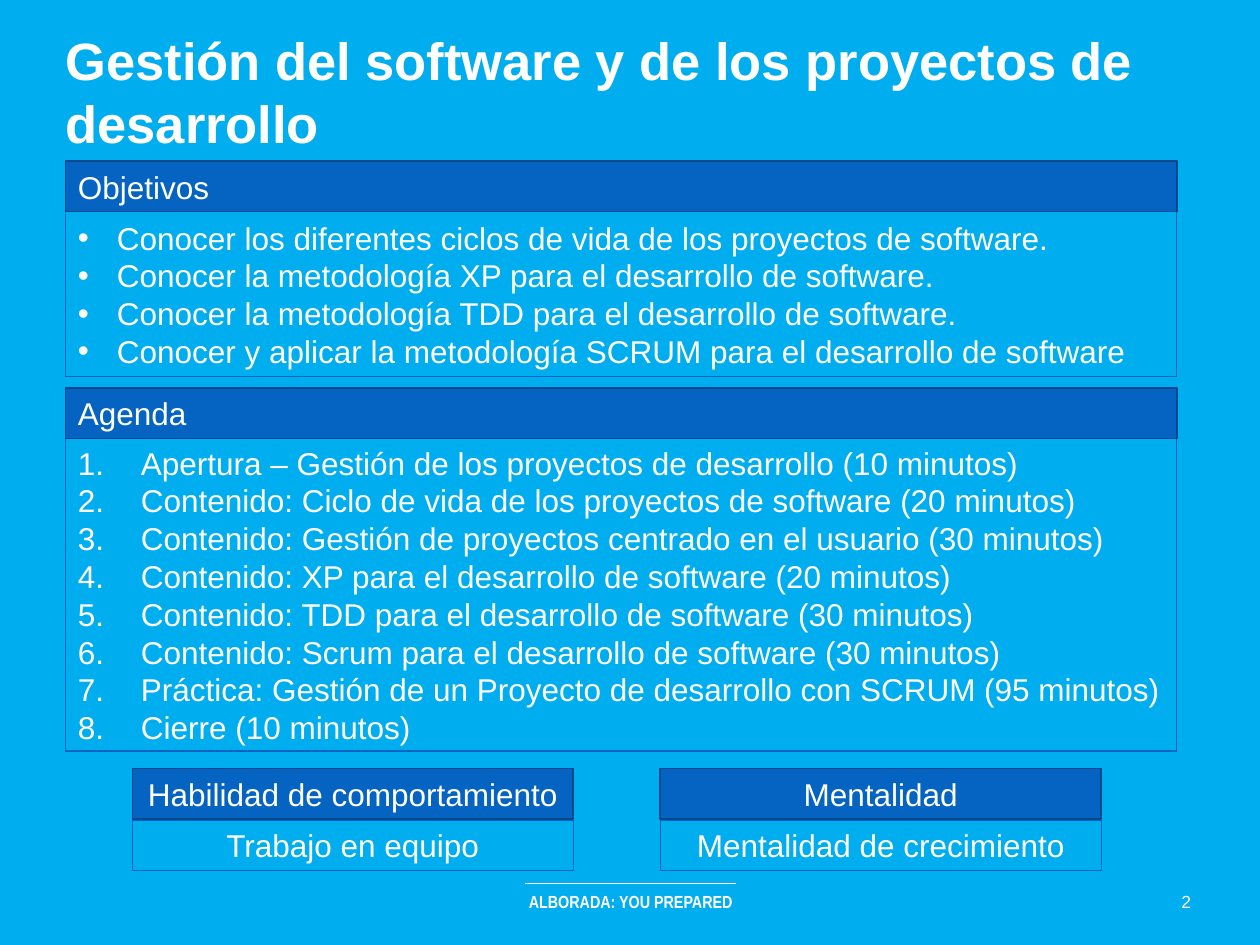
from lxml import etree
from pptx import Presentation
from pptx import util as u
from pptx.dml.color import RGBColor
from pptx.enum import shapes, text
from pptx.oxml.ns import qn

# Content
TITLE = "Gestión del software y de los proyectos de desarrollo"
FOOTER = "ALBORADA: YOU PREPARED"
PAGE = "2"
OBJECTIVES = [
    "Conocer los diferentes ciclos de vida de los proyectos de software.",
    "Conocer la metodología XP para el desarrollo de software.",
    "Conocer la metodología TDD para el desarrollo de software.",
    "Conocer y aplicar la metodología SCRUM para el desarrollo de software",
]
AGENDA = [
    "Apertura – Gestión de los proyectos de desarrollo (10 minutos)",
    "Contenido: Ciclo de vida de los proyectos de software (20 minutos)",
    "Contenido: Gestión de proyectos centrado en el usuario (30 minutos)",
    "Contenido: XP para el desarrollo de software (20 minutos)",
    "Contenido: TDD para el desarrollo de software (30 minutos)",
    "Contenido: Scrum para el desarrollo de software (30 minutos)",
    "Práctica: Gestión de un Proyecto de desarrollo con SCRUM (95 minutos)",
    "Cierre (10 minutos)",
]
BULLET = ("buChar", {"char": "•"}, 0.31)
NUMBER = ("buAutoNum", {"type": "arabicPeriod"}, 0.5)
# heading, items, marker, top, body height
PANELS = [
    ("Objetivos", OBJECTIVES, BULLET, 1.28, 1.31),
    ("Agenda", AGENDA, NUMBER, 3.08, 2.48),
]
CARDS = [
    ("Habilidad de comportamiento", "Trabajo en equipo"),
    ("Mentalidad", "Mentalidad de crecimiento"),
]
COLORS = {"sky": "00ADEF", "blue": "0563C1", "edge": "03488C", "white": "FFFFFF"}

# Layout, in inches
LEFT, WIDTH, BAR = 0.52, 8.82, 0.4
CARD_LEFT, CARD_TOP, CARD_WIDTH, CARD_STEP, CARD_ROW = 1.05, 6.1, 3.5, 4.19, 0.41
FOOT_TOP, FOOT_HEIGHT = 7.02, 0.27
CENTER = text.PP_ALIGN.CENTER


def color(name):
    return RGBColor.from_string(COLORS[name])


def inches(*values):
    return [u.Inches(v) for v in values]


def add_marker(paragraph, marker):
    tag, attributes, indent = marker
    props = paragraph._p.get_or_add_pPr()
    props.set("marL", str(u.Inches(indent)))
    props.set("indent", str(-u.Inches(indent)))
    bullet_color = etree.SubElement(props, qn("a:buClr"))
    etree.SubElement(bullet_color, qn("a:srgbClr"), val=COLORS["white"])
    etree.SubElement(props, qn("a:buFont"), typeface="Arial")
    etree.SubElement(props, qn("a:" + tag), attributes)


def write(shape, lines, size=18, font="Arial", bold=False,
          align=text.PP_ALIGN.LEFT, marker=None, side=0.1):
    frame = shape.text_frame
    frame.text = "\n".join(lines)
    frame.word_wrap = True
    frame.auto_size = text.MSO_AUTO_SIZE.NONE
    frame.vertical_anchor = text.MSO_ANCHOR.MIDDLE
    frame.margin_left = frame.margin_right = u.Inches(side)
    frame.margin_top = frame.margin_bottom = u.Inches(0.05)
    for paragraph in frame.paragraphs:
        paragraph.alignment = align
        if marker:
            add_marker(paragraph, marker)
        for run in paragraph.runs:
            run.font.size, run.font.name, run.font.bold = u.Pt(size), font, bold
            run.font.color.rgb = color("white")


def add_box(slide, place, lines, heading=False, **style):
    box = slide.shapes.add_shape(shapes.MSO_SHAPE.RECTANGLE, *inches(*place))
    box.shadow.inherit = False
    if heading:
        box.fill.solid()
        box.fill.fore_color.rgb = color("blue")
    else:
        box.fill.background()
    box.line.color.rgb = color("edge" if heading else "blue")
    box.line.width = u.Pt(0.85 if heading else 0.75)
    write(box, lines, **style)


def main():
    deck = Presentation()
    deck.slide_width, deck.slide_height = inches(10, 7.5)
    slide = deck.slides.add_slide(deck.slide_layouts[5])
    slide.background.fill.solid()
    slide.background.fill.fore_color.rgb = color("sky")

    # Title
    title = slide.shapes.title
    title.left, title.top, title.width, title.height = inches(LEFT, 0.17, WIDTH, 1.11)
    write(title, [TITLE], size=30, bold=True, side=0)

    # Objectives and agenda
    for heading, items, marker, top, height in PANELS:
        add_box(slide, (LEFT, top + BAR, WIDTH, height), items, marker=marker)
        add_box(slide, (LEFT, top, WIDTH, BAR), [heading], heading=True)

    # Skill and mindset cards
    for column, (heading, detail) in enumerate(CARDS):
        x = CARD_LEFT + column * CARD_STEP
        add_box(slide, (x, CARD_TOP + CARD_ROW, CARD_WIDTH, BAR), [detail], align=CENTER)
        add_box(slide, (x, CARD_TOP, CARD_WIDTH, BAR), [heading], heading=True, align=CENTER)

    # Footer
    rule = slide.shapes.add_connector(
        shapes.MSO_CONNECTOR.STRAIGHT, *inches(4.17, 7.01, 5.84, 7.01))
    rule.line.color.rgb = color("white")
    rule.line.width = u.Pt(0.75)
    etree.SubElement(rule._element.spPr, qn("a:effectLst"))
    for x, width, label, font, bold in [
        (3.67, 2.67, FOOTER, "Arial Narrow", True),
        (9.23, 0.37, PAGE, "Arial", False),
    ]:
        box = slide.shapes.add_textbox(*inches(x, FOOT_TOP, width, FOOT_HEIGHT))
        write(box, [label], size=10, font=font, bold=bold, align=CENTER)

    deck.save("out.pptx")


if __name__ == "__main__":
    main()
